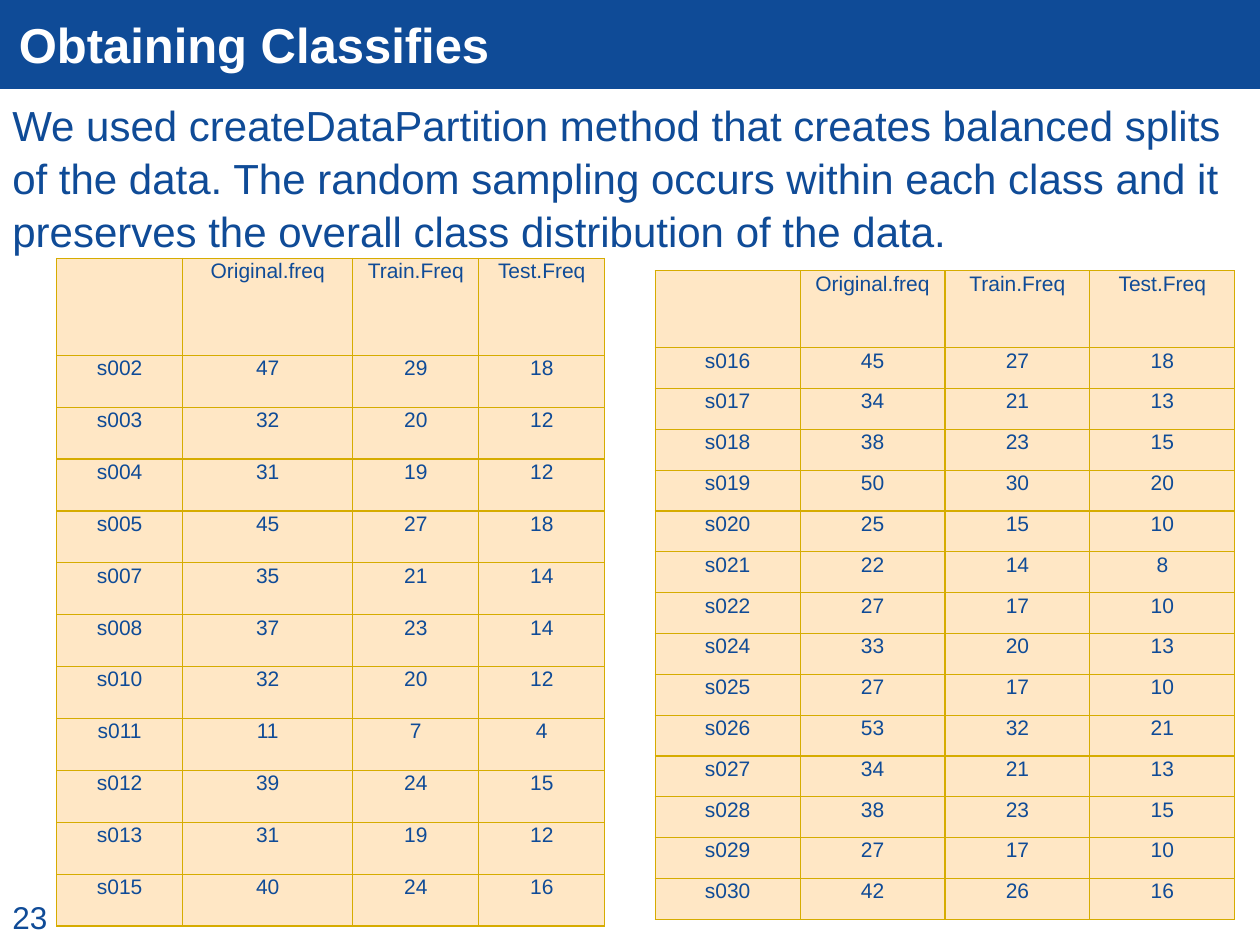
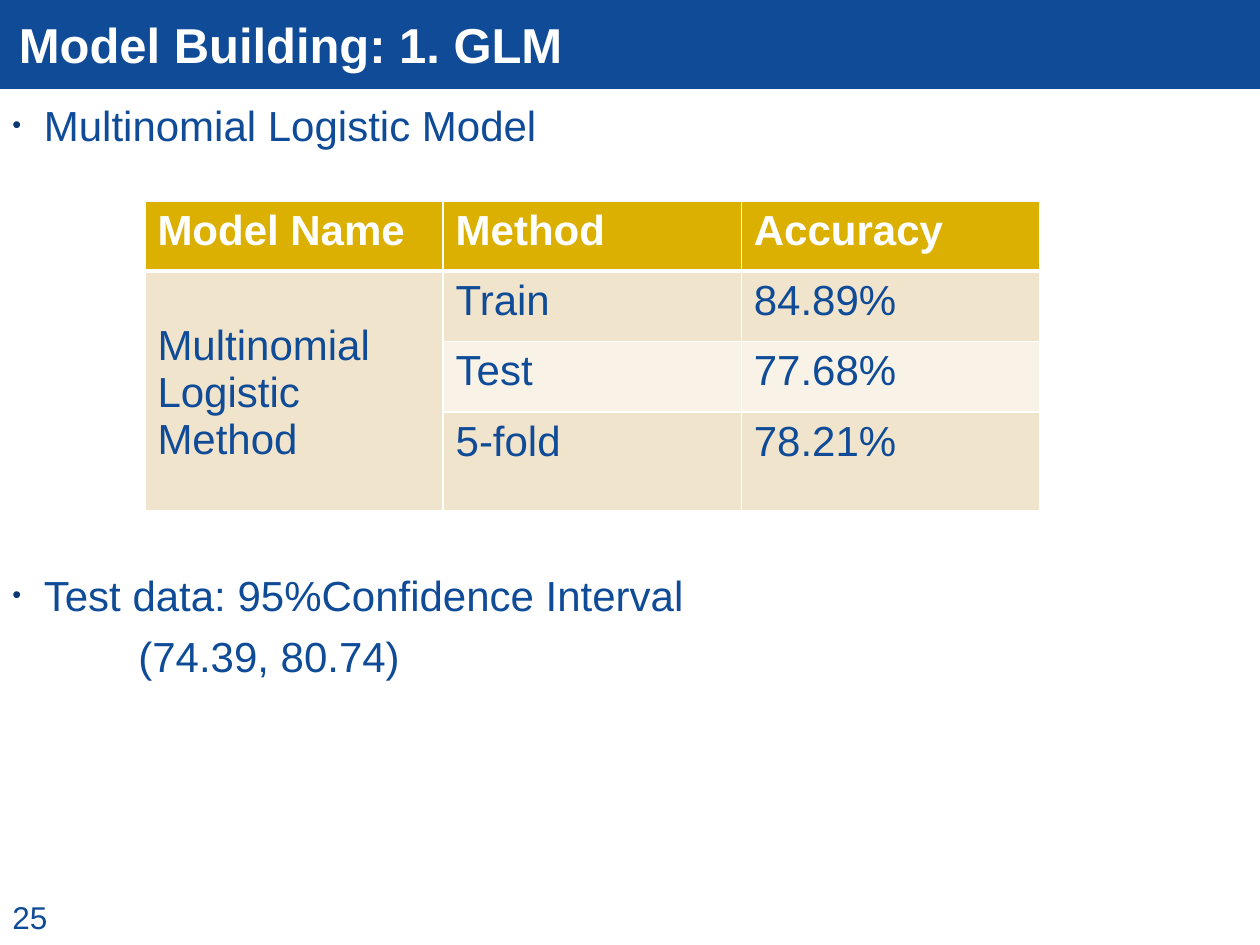
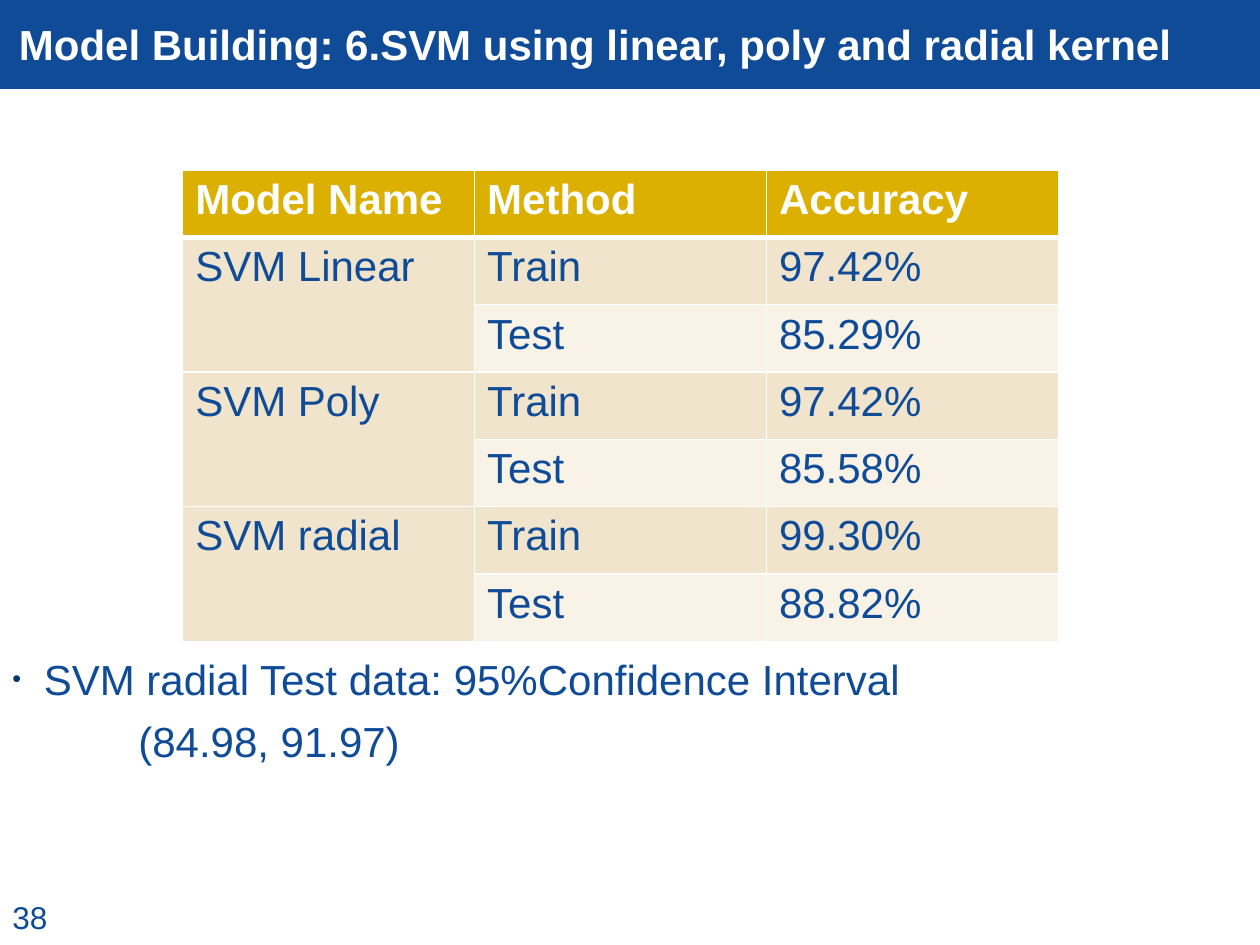
from lxml.etree import SubElement
from pptx import Presentation
from pptx.dml.color import RGBColor
from pptx.enum.shapes import MSO_SHAPE
from pptx.enum.text import MSO_ANCHOR, PP_ALIGN
from pptx.oxml.ns import qn
from pptx.util import Inches, Pt

FONT = "Arial"
BLUE, WHITE, BULLET = "0F4B97", "FFFFFF", "0B3871"
GOLD, GOLD_LINE, CREAM = "DBB000", "D6AC00", "FFE7C5"
BANDS = ["F1E4CC", "F8F2E7"]

# Boxes are (left, top, width, height) on a grid of 10 columns by 7.5 rows.
COLS, ROWS = 10, 7.5
CELL = Inches(1)
BAND_H = 0.7

FREQ_HEAD = ["", "Original.freq", "Train.Freq", "Test.Freq"]
FREQ_LEFT = [
    ("s002", 47, 29, 18), ("s003", 32, 20, 12), ("s004", 31, 19, 12),
    ("s005", 45, 27, 18), ("s007", 35, 21, 14), ("s008", 37, 23, 14),
    ("s010", 32, 20, 12), ("s011", 11, 7, 4), ("s012", 39, 24, 15),
    ("s013", 31, 19, 12), ("s015", 40, 24, 16),
]
FREQ_RIGHT = [
    ("s016", 45, 27, 18), ("s017", 34, 21, 13), ("s018", 38, 23, 15),
    ("s019", 50, 30, 20), ("s020", 25, 15, 10), ("s021", 22, 14, 8),
    ("s022", 27, 17, 10), ("s024", 33, 20, 13), ("s025", 27, 17, 10),
    ("s026", 53, 32, 21), ("s027", 34, 21, 13), ("s028", 38, 23, 15),
    ("s029", 27, 17, 10), ("s030", 42, 26, 16),
]
MODEL_HEAD = ["Model Name", "Method", "Accuracy"]
GLM = [("Multinomial Logistic Method",
        [("Train", "84.89%"), ("Test", "77.68%"), ("5-fold", "78.21%")])]
SVM = [
    ("SVM Linear", [("Train", "97.42%"), ("Test", "85.29%")]),
    ("SVM Poly", [("Train", "97.42%"), ("Test", "85.58%")]),
    ("SVM radial", [("Train", "99.30%"), ("Test", "88.82%")]),
]


def rgb(color):
    return RGBColor.from_string(color)


def grid(*lengths):
    return [int(n * CELL) for n in lengths]


def style(p, size, color=BLUE, bold=False):
    for r in p.runs:
        f = r.font
        f.name, f.size, f.bold = FONT, Pt(size), bold
        f.color.rgb = rgb(color)


def add_text(s, box, lines, size):
    sp = s.shapes.add_textbox(*grid(*box))
    tf = sp.text_frame
    tf.word_wrap = True
    tf.text = "\n".join(lines)
    for p in tf.paragraphs:
        style(p, size)
    return tf


def indent(p, left, hanging=0):
    pPr = p._p.get_or_add_pPr()
    pPr.set("marL", str(Inches(left)))
    pPr.set("indent", str(-Inches(hanging)))
    return pPr


def add_bullet(p):
    pPr = indent(p, 0.25, 0.25)
    SubElement(SubElement(pPr, qn("a:buClr")), qn("a:srgbClr"), val=BULLET)
    SubElement(pPr, qn("a:buSzPct"), val="60000")
    SubElement(pPr, qn("a:buFont"), typeface=FONT)
    SubElement(pPr, qn("a:buChar"), char="•")


def add_body(s, top, height, lines, bulleted=True):
    """Body text: a bulleted first line, any further lines indented under it."""
    tf = add_text(s, (0, top, COLS, height), lines, 24)
    for i, p in enumerate(tf.paragraphs):
        if i:
            indent(p, 1)
            p.space_before = Pt(4.8)
        elif bulleted:
            add_bullet(p)
        p.line_spacing = 1.05


def add_slide(prs, title, number, size=28):
    s = prs.slides.add_slide(prs.slide_layouts[5])
    band = s.shapes.add_shape(MSO_SHAPE.RECTANGLE, *grid(0, 0, COLS, BAND_H))
    band.shadow.inherit = False
    band.fill.solid()
    band.fill.fore_color.rgb = band.line.color.rgb = rgb(BLUE)
    band.line.width = Pt(0.75)

    sp = s.shapes.title
    sp.element.addprevious(band.element)
    sp.left, sp.top, sp.width, sp.height = grid(0.05, 0, COLS - 0.05, BAND_H)
    tf = sp.text_frame
    tf.text = title
    tf.vertical_anchor = MSO_ANCHOR.MIDDLE
    p = tf.paragraphs[0]
    p.alignment = PP_ALIGN.LEFT
    style(p, size, WHITE, True)

    add_text(s, (0, 7.08, 0.55, 0.5), [str(number)], 18)
    return s


def set_borders(cell, color, left=1, right=1, top=1, bottom=1):
    tcPr = cell._tc.get_or_add_tcPr()
    sides = zip("LRTB", (left, right, top, bottom))
    for side, width in sides:
        ln = SubElement(tcPr, qn(f"a:ln{side}"), w=str(Pt(width)))
        SubElement(SubElement(ln, qn("a:solidFill")), qn("a:srgbClr"), val=color)


def fill_cell(cell, text, size, fill, color=BLUE, bold=False):
    cell.fill.solid()
    cell.fill.fore_color.rgb = rgb(fill)
    cell.text = str(text)
    style(cell.text_frame.paragraphs[0], size, color, bold)


def add_grid_table(s, box, widths, heights):
    table = s.shapes.add_table(len(heights), len(widths), *grid(*box)).table
    table.first_row = table.horz_banding = False
    for col, width in zip(table.columns, grid(*widths)):
        col.width = width
    for row, height in zip(table.rows, grid(*heights)):
        row.height = height
    return table


def add_freq_table(s, box, widths, header_h, data):
    row_h = (box[3] - header_h) / len(data)
    table = add_grid_table(s, box, widths, [header_h] + [row_h] * len(data))
    for r, values in enumerate([FREQ_HEAD] + data):
        for c, value in enumerate(values):
            cell = table.cell(r, c)
            set_borders(cell, GOLD_LINE, 0.75, 0.75, 0.75, 0.75)
            fill_cell(cell, value, 12, CREAM)
            cell.margin_left = cell.margin_right = cell.margin_top = Inches(0.01)
            cell.margin_bottom = 0
            cell.text_frame.paragraphs[0].alignment = PP_ALIGN.CENTER


def add_model_table(s, box, heights, models, label_top=0.05):
    """Accuracy table with one merged name cell for each model."""
    table = add_grid_table(s, box, [box[2] / 3] * 3, heights)
    for c, name in enumerate(MODEL_HEAD):
        set_borders(table.cell(0, c), WHITE, bottom=3)
        fill_cell(table.cell(0, c), name, 24, GOLD, WHITE, True)
    first = 1
    for model, results in models:
        for i, result in enumerate(results):
            r = first + i
            for c, text in enumerate((model if i == 0 else "",) + result):
                cell = table.cell(r, c)
                set_borders(cell, WHITE, top=3 if r == 1 else 1)
                fill_cell(cell, text, 24, BANDS[i % 2] if c else BANDS[0])
        label = table.cell(first, 0)
        label.merge(table.cell(first + len(results) - 1, 0))
        label.margin_top = Inches(label_top)
        first += len(results)


def partition_slide(prs):
    s = add_slide(prs, "Obtaining Classifies", 23)
    add_body(s, 0.72, 1.3, [
        "We used createDataPartition method that creates balanced splits of "
        "the data. The random sampling occurs within each class and it "
        "preserves the overall class distribution of the data."], bulleted=False)
    add_freq_table(s, (0.45, 2.05, 4.35, 5.3), [1, 1.35, 1, 1], 0.77, FREQ_LEFT)
    add_freq_table(s, (5.2, 2.15, 4.6, 5.15), [1.15] * 4, 0.61, FREQ_RIGHT)


def glm_slide(prs):
    s = add_slide(prs, "Model Building: 1. GLM", 25)
    add_body(s, 0.72, 0.6, ["Multinomial Logistic Model"])
    add_model_table(s, (1.15, 1.6, 7.1, 2.45), [0.55, 0.56, 0.56, 0.78], GLM, 0.41)
    add_body(s, 4.45, 1.1, ["Test data: 95%Confidence Interval", "(74.39, 80.74)"])


def svm_slide(prs):
    s = add_slide(
        prs, "Model Building: 6.SVM using linear, poly and radial kernel", 38, 24)
    add_model_table(s, (1.45, 1.35, 6.95, 3.74), [3.74 / 7] * 7, SVM)
    add_body(s, 5.12, 1.1, [
        "SVM radial Test data: 95%Confidence Interval", "(84.98, 91.97)"])


def main():
    prs = Presentation()
    prs.slide_width, prs.slide_height = grid(COLS, ROWS)
    partition_slide(prs)
    glm_slide(prs)
    svm_slide(prs)
    prs.save("out.pptx")


if __name__ == "__main__":
    main()
